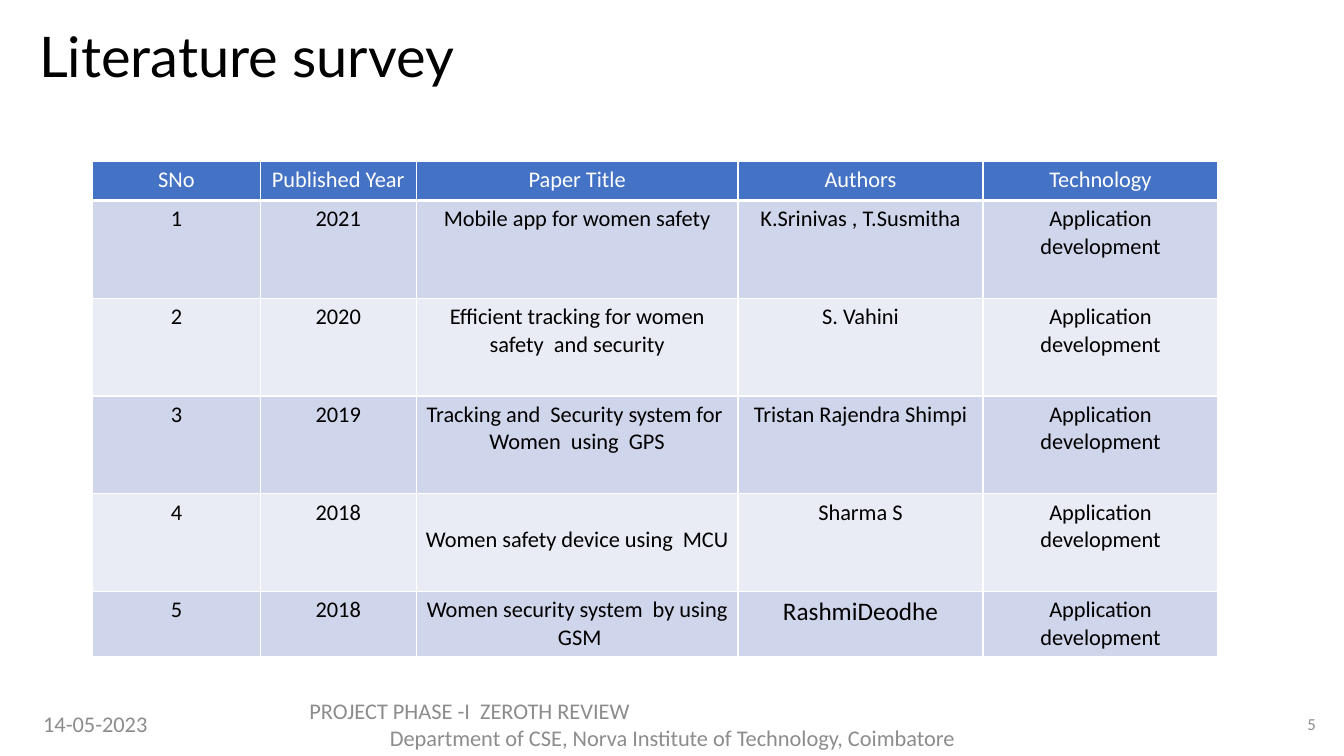
from lxml.etree import SubElement
from pptx import Presentation
from pptx.dml.color import RGBColor
from pptx.enum.text import MSO_ANCHOR, PP_ALIGN
from pptx.oxml.ns import qn
from pptx.util import Inches, Pt

COLORS = {
    "title": "000000",
    "footer": "8C8C8C",
    "header": "4472C4",
    "header_text": "FFFFFF",
    "body_text": "000000",
    "odd_row": "CFD5EA",
    "even_row": "E9EBF5",
    "border": "FFFFFF",
}
COLUMN_WIDTHS = [1.66, 1.55, 3.19, 2.43, 2.33]
ROW_HEIGHTS = [0.39, 0.97, 0.97, 0.97, 0.97, 0.65]
HEADINGS = ["SNo", "Published Year", "Paper Title", "Authors", "Technology"]
PAPERS = [
    ("2021", "Mobile app for women safety", "K.Srinivas , T.Susmitha"),
    ("2020", "Efficient tracking for women safety  and security", "S. Vahini"),
    ("2019", "Tracking and  Security system for  Women  using  GPS", "Tristan Rajendra Shimpi"),
    ("2018", "Women safety device using  MCU", "Sharma S"),
    ("2018", "Women security system  by using  GSM", "RashmiDeodhe"),
]
TECHNOLOGY = "Application development"


def apply_format(target, values):
    for name, value in values.items():
        setattr(target, name, value)


def add_span(para, text, color, size=16, font="Calibri"):
    span = para.add_run()
    span.text = text
    apply_format(span.font, {"name": font, "size": Pt(size)})
    span.font.color.rgb = RGBColor.from_string(COLORS[color])


def add_text(page, place, lines, color, size=16, font="Calibri", left_margin=0.1, spacing=1.0):
    box = page.shapes.add_textbox(*map(Inches, place))
    frame = box.text_frame
    apply_format(frame, {
        "word_wrap": True,
        "vertical_anchor": MSO_ANCHOR.MIDDLE,
        "margin_left": Inches(left_margin),
    })
    for index, (text, alignment) in enumerate(lines):
        para = frame.add_paragraph() if index else frame.paragraphs[0]
        apply_format(para, {"alignment": alignment, "line_spacing": spacing})
        add_span(para, text, color, size, font)


def add_borders(cell, widths):
    properties = cell._tc.get_or_add_tcPr()
    for side, width in widths.items():
        line = SubElement(properties, qn(f"a:ln{side}"), w=str(Pt(width)))
        fill = SubElement(line, qn("a:solidFill"))
        SubElement(fill, qn("a:srgbClr"), val=COLORS["border"])


def fill_cell(cell, text, row, size):
    if row == 0:
        background, color = "header", "header_text"
    else:
        background, color = ("odd_row" if row % 2 else "even_row"), "body_text"
    add_borders(cell, {"L": 1, "R": 1, "T": 3 if row == 1 else 1, "B": 3 if row == 0 else 1})
    cell.fill.solid()
    cell.fill.fore_color.rgb = RGBColor.from_string(COLORS[background])
    para = cell.text_frame.paragraphs[0]
    para.alignment = PP_ALIGN.CENTER
    add_span(para, text, color, size)


def add_survey_table(page):
    rows = [HEADINGS]
    rows += [(str(number), *paper, TECHNOLOGY) for number, paper in enumerate(PAPERS, 1)]
    place = (0.92, 1.6, sum(COLUMN_WIDTHS), sum(ROW_HEIGHTS))
    table = page.shapes.add_table(len(rows), len(HEADINGS), *map(Inches, place)).table
    for column, width in zip(table.columns, COLUMN_WIDTHS):
        column.width = Inches(width)
    for row, height in zip(table.rows, ROW_HEIGHTS):
        row.height = Inches(height)
    for row, texts in enumerate(rows):
        for column, text in enumerate(texts):
            size = 18 if text == "RashmiDeodhe" else 16
            fill_cell(table.cell(row, column), text, row, size)
    apply_format(table.cell(4, 2), {
        "margin_top": Inches(0.32),
        "margin_left": Inches(0.03),
        "margin_right": Inches(0.03),
    })


def add_footer(page):
    add_text(page, (0.33, 6.98, 1.45, 0.4), [("14-05-2023", PP_ALIGN.LEFT)], "footer")
    add_text(page, (2.97, 6.98, 7.4, 0.4), [
        ("PROJECT PHASE -I  ZEROTH REVIEW", PP_ALIGN.LEFT),
        ("Department of CSE, Norva Institute of Technology, Coimbatore", PP_ALIGN.CENTER),
    ], "footer")
    add_text(page, (12.54, 6.98, 0.61, 0.4), [("5", PP_ALIGN.RIGHT)], "footer", size=12)


def main():
    deck = Presentation()
    apply_format(deck, {"slide_width": Inches(13.33), "slide_height": Inches(7.5)})
    page = deck.slides.add_slide(deck.slide_layouts[6])
    add_text(page, (0.15, 0.13, 11.5, 0.92), [("Literature survey", PP_ALIGN.LEFT)],
             "title", size=40, font="Lato", left_margin=0.24, spacing=0.9)
    add_survey_table(page)
    add_footer(page)
    deck.save("out.pptx")


main()
